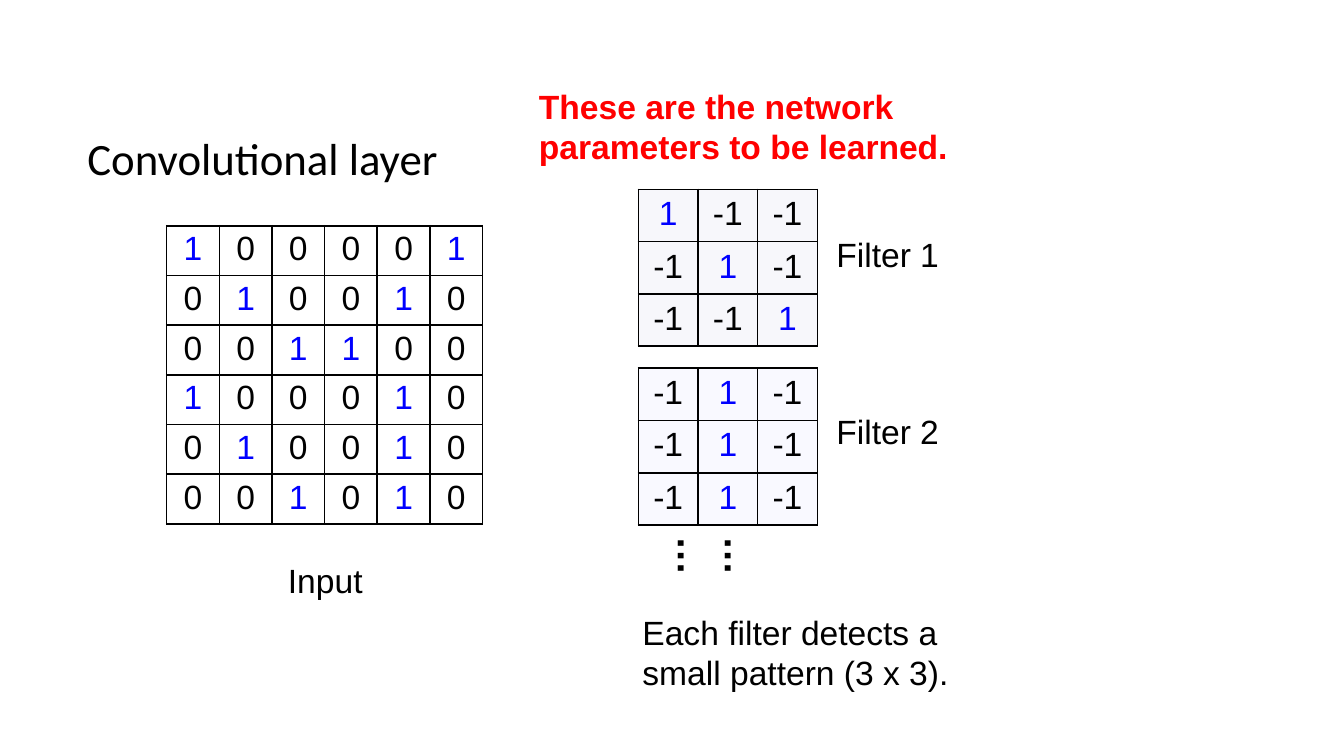
from lxml.etree import SubElement
from pptx import Presentation
from pptx.dml.color import RGBColor as RGB
from pptx.enum.text import MSO_ANCHOR as Anchor, MSO_AUTO_SIZE as Auto, PP_ALIGN as Align
from pptx.oxml.ns import qn
from pptx.util import Inches, Pt

COLORS = {
    "ink": "000000", "one": "0000FF", "alert": "FF0000",
    "first": "F7F7FB", "second": "F9F9FF",
}
IMAGE = ["100001", "010010", "001100", "100010", "010010", "001010"]
FILTERS = [
    ("Filter 1", 14.1, 17, "first", [[1, -1, -1], [-1, 1, -1], [-1, -1, 1]]),
    ("Filter 2", 27.4, 30.2, "second", [[-1, 1, -1]] * 3),
]


def unit(count):
    """Turn columns or rows of the grid, a hundred across the slide, into a length."""
    return Inches(count / 10)


def write(frame, text, size=18, font="Arial", color="ink", bold=False, align=Align.LEFT):
    para = frame.paragraphs[0]
    para.alignment = align
    run = para.add_run()
    run.text = text
    run.font.size = Pt(size)
    run.font.name = font
    run.font.bold = bold
    run.font.color.rgb = RGB.from_string(COLORS[color])


class Deck:
    def __init__(self):
        self.file = Presentation()
        self.file.slide_width = unit(100)
        self.file.slide_height = unit(56.25)
        self.slide = self.file.slides.add_slide(self.file.slide_layouts[5])

    def fit(self, shape, text, **style):
        """Set the margins and wrapping of a text shape, then fill it."""
        frame = shape.text_frame
        frame.word_wrap = True
        frame.auto_size = Auto.SHAPE_TO_FIT_TEXT
        frame.margin_left = frame.margin_right = unit(0.7)
        frame.margin_top = frame.margin_bottom = unit(0.4)
        frame.vertical_anchor = Anchor.TOP
        write(frame, text, **style)

    def title(self, text, x, y, w, h, **style):
        shape = self.slide.shapes.title
        shape.left, shape.top, shape.width, shape.height = map(unit, (x, y, w, h))
        self.fit(shape, text, **style)

    def label(self, text, x, y, w, h, turn=0, **style):
        shape = self.slide.shapes.add_textbox(*map(unit, (x, y, w, h)))
        shape.rotation = turn
        self.fit(shape, text, **style)

    def border(self, cell):
        props = cell._tc.get_or_add_tcPr()
        for side in ("lnL", "lnR", "lnT", "lnB"):
            line = SubElement(props, qn(f"a:{side}"), w=str(Pt(1)))
            fill = SubElement(line, qn("a:solidFill"))
            SubElement(fill, qn("a:srgbClr"), val=COLORS["ink"])

    def matrix(self, data, x, y, step, pad, fill=None):
        """Draw a number grid with columns of one step and a padding in points."""
        rows, cols = len(data), len(data[0])
        size = unit(step * cols), unit(3 * rows)
        table = self.slide.shapes.add_table(rows, cols, unit(x), unit(y), *size).table
        table.first_row = table.horz_banding = False
        for r, row in enumerate(data):
            for c, value in enumerate(row):
                cell = table.cell(r, c)
                self.border(cell)
                cell.margin_left = cell.margin_right = Pt(2 * pad)
                cell.margin_top = cell.margin_bottom = Pt(pad)
                if fill:
                    cell.fill.solid()
                    cell.fill.fore_color.rgb = RGB.from_string(COLORS[fill])
                else:
                    cell.fill.background()
                color = "one" if int(value) == 1 else "ink"
                write(cell.text_frame, str(value), color=color, align=Align.CENTER)


def main():
    deck = Deck()
    deck.title("Convolutional layer", 5.8, 9.3, 28, 4.8, size=24, font="Calibri")
    deck.matrix(IMAGE, 12.4, 16.8, step=3.92, pad=2.5)
    deck.label("Input", 14.6, 41.3, 19.2, 3.8, align=Align.CENTER)
    for name, top, mid, fill, data in FILTERS:
        deck.matrix(data, 47.5, top, step=4.44, pad=3.2, fill=fill)
        deck.label(name, 60.1, mid, 11.9, 3.8, align=Align.CENTER)
    deck.label("……", 52.2, 40, 5.8, 4.3, turn=90, size=21, bold=True)
    deck.label("Each filter detects a small pattern (3 x 3).", 47.1, 45.1, 29.2, 6.8)
    deck.label("These are the network parameters to be learned.", 39.4, 6, 32.5, 6.8,
               color="alert", bold=True)
    deck.file.save("out.pptx")


if __name__ == "__main__":
    main()
